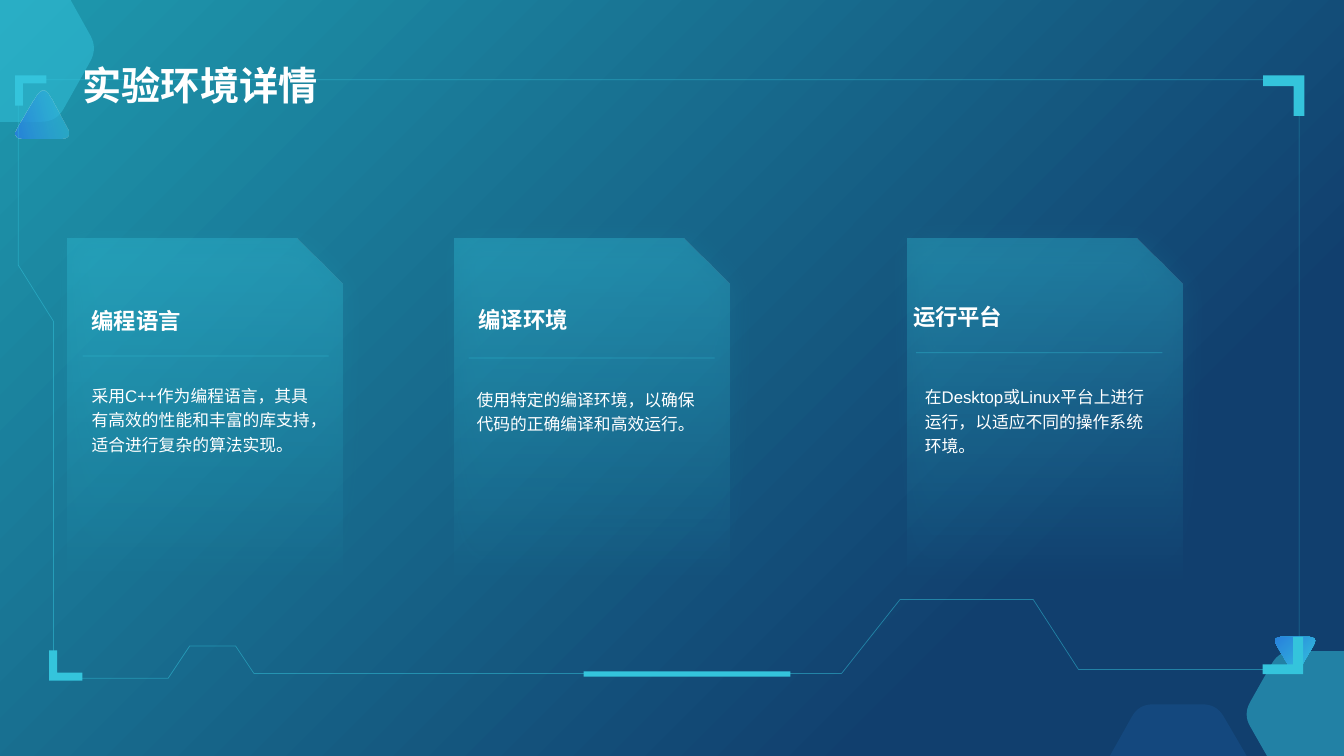
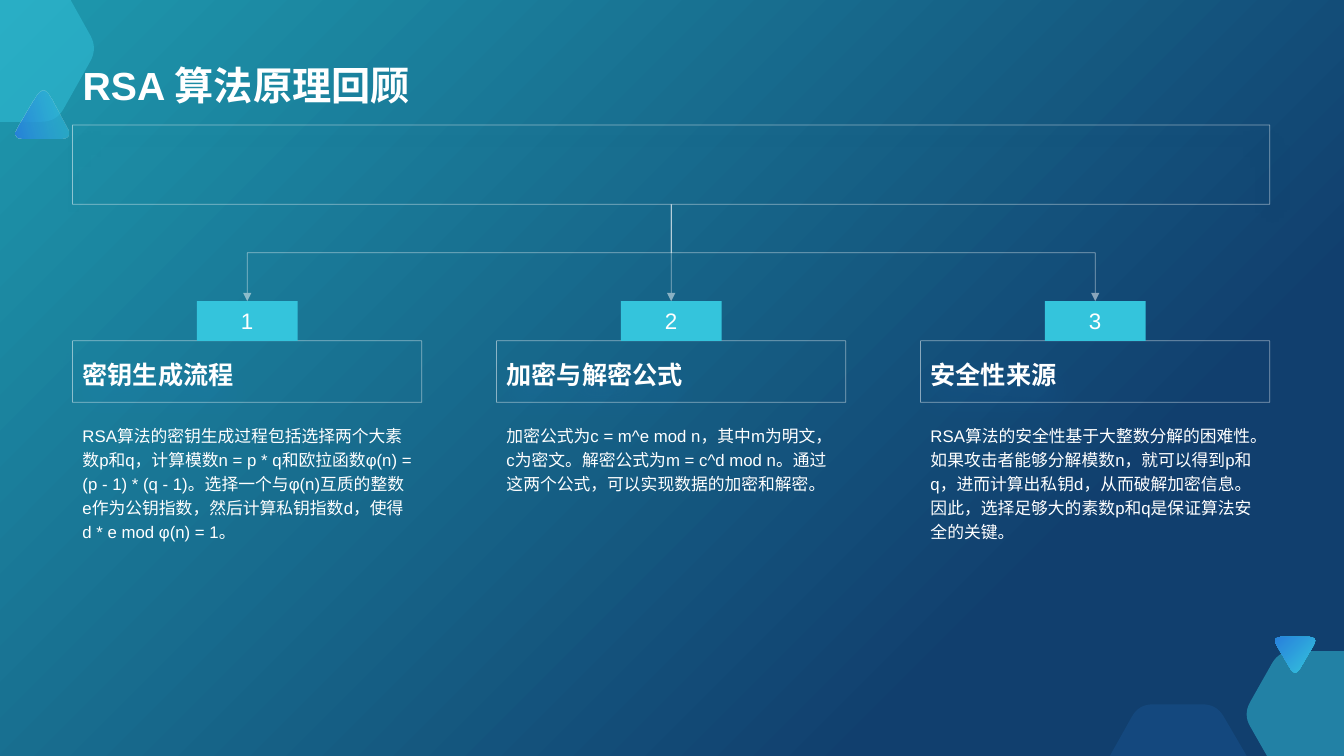
from dataclasses import dataclass
from math import copysign, dist

from lxml.etree import SubElement
from pptx import Presentation
from pptx.dml.color import RGBColor
from pptx.enum.lang import MSO_LANGUAGE_ID
from pptx.enum.shapes import MSO_CONNECTOR, MSO_SHAPE
from pptx.enum.text import MSO_ANCHOR, MSO_AUTO_SIZE, PP_ALIGN
from pptx.oxml.ns import qn
from pptx.util import Cm, Pt


@dataclass(frozen=True)
class Theme:
    teal: RGBColor = RGBColor.from_string("1E99AE")
    navy: RGBColor = RGBColor.from_string("113F6E")
    cyan: RGBColor = RGBColor.from_string("34C4DC")
    blue: RGBColor = RGBColor.from_string("2881DC")
    white: RGBColor = RGBColor.from_string("FFFFFF")
    font: str = "Arial"
    title: Pt = Pt(28)
    head: Pt = Pt(18)
    label: Pt = Pt(16)
    body: Pt = Pt(12)
    hair: Pt = Pt(0.5)


def dress(thing, **values):
    for name, value in values.items():
        setattr(thing, name, value)


def paint(fill, stops, turn=0, end=1):
    """Fill with one colour or a gradient; turn is clockwise degrees."""
    if len(stops) == 1:
        fill.solid()
        fill.fore_color.rgb = stops[0][0]
        return
    fill.gradient()
    fill.gradient_angle = 360 - turn
    for stop, (color, _), place in zip(fill.gradient_stops, stops, (0, end)):
        stop.color.rgb = color
        stop.position = place


def fade(element, stops):
    """Give the first colours of an element their opacity in percent."""
    for node, (_, alpha) in zip(list(element.iter(qn("a:srgbClr"))), stops):
        if alpha < 100:
            SubElement(node, qn("a:alpha"), val=str(alpha * 1000))


def toward(start, goal, length):
    share = length / dist(start, goal)
    return tuple(a + (b - a) * share for a, b in zip(start, goal))


def bevel(corners, steps=8):
    """Turn each corner (x, y, cut) into a smooth curve of points."""
    points = []
    for i, (x, y, cut) in enumerate(corners):
        if not cut:
            points.append((x, y))
            continue
        before, after = corners[i - 1][:2], corners[(i + 1) % len(corners)][:2]
        first = toward((x, y), before, cut)
        last = toward((x, y), after, cut)
        for t in (n / steps for n in range(steps + 1)):
            points.append(tuple((1 - t) ** 2 * a + 2 * t * (1 - t) * b + t * t * c
                                for a, b, c in zip(first, (x, y), last)))
    return points


class Deck:
    def __init__(self, theme):
        self.theme = theme
        self.show = Presentation()
        dress(self.show, slide_width=Cm(33.87), slide_height=Cm(19.05))
        self.layout = self.show.slide_layouts[5]
        paint(self.show.slide_master.background.fill,
              [(theme.teal, 100), (theme.navy, 100)], 45, 0.77)
        self.slide = None

    def page(self):
        self.slide = self.show.slides.add_slide(self.layout)

    def label(self, shape, text, size, bold=False, space=None,
              align=PP_ALIGN.LEFT, anchor=MSO_ANCHOR.TOP, wrap=True):
        frame = shape.text_frame
        dress(frame, text=text, word_wrap=wrap, vertical_anchor=anchor,
              auto_size=MSO_AUTO_SIZE.NONE)
        para = frame.paragraphs[0]
        dress(para, alignment=align, line_spacing=space)
        font = para.runs[0].font
        dress(font, name=self.theme.font, size=size, bold=bold,
              language_id=MSO_LANGUAGE_ID.SIMPLIFIED_CHINESE)
        font.color.rgb = self.theme.white

    def title(self, text):
        shape = self.slide.shapes.title
        dress(shape, left=Cm(1.83), top=Cm(0.36), width=Cm(30.17), height=Cm(2.49))
        self.label(shape, text, self.theme.title, True, anchor=MSO_ANCHOR.BOTTOM)
        self.slide.shapes.element.append(shape.element)

    def text(self, box, text, size, **style):
        shape = self.slide.shapes.add_textbox(*map(Cm, box))
        self.label(shape, text, size, **style)

    def style(self, shape, fill=None, turn=0, line=None, glow=None):
        """fill: (colour, opacity) stops; glow: colour, opacity, blur, distance, angle."""
        shape.shadow.inherit = False
        if fill:
            paint(shape.fill, fill, turn)
        else:
            shape.fill.background()
        if line:
            shape.line.color.rgb = line[0]
            shape.line.width = self.theme.hair
        else:
            shape.line.fill.background()
        fade(shape.element.spPr, (fill or []) + ([line] if line else []))
        if glow:
            color, alpha, blur, away, angle = glow
            effects = shape.element.spPr.find(qn("a:effectLst"))
            cast = SubElement(effects, qn("a:outerShdw"), blurRad=str(Pt(blur)),
                              dist=str(Pt(away)), dir=str(angle * 60000),
                              algn="ctr", rotWithShape="0")
            SubElement(cast, qn("a:srgbClr"), val=str(color))
            fade(cast, [(color, alpha)])
        return shape

    def shape(self, kind, box, **style):
        return self.style(self.slide.shapes.add_shape(kind, *map(Cm, box)), **style)

    def outline(self, points, **style):
        dots = [(Cm(x), Cm(y)) for x, y in points]
        pen = self.slide.shapes.build_freeform(*dots[0])
        pen.add_line_segments(dots[1:], close=True)
        return self.style(pen.convert_to_shape(), **style)

    def bracket(self, x, y, wide, high, thick):
        """Draw an L from its outer corner; signed arms give its direction."""
        right, low = x + copysign(thick, wide), y + copysign(thick, high)
        self.outline([(x, y), (x + wide, y), (x + wide, low), (right, low),
                      (right, y + high), (x, y + high)],
                     fill=[(self.theme.cyan, 100)])

    def ink(self, link, color):
        link.line.color.rgb = color
        link.line.width = self.theme.hair
        fade(link.element.spPr, [(color, 50)])
        SubElement(link.element.spPr, qn("a:effectLst"))

    def rule(self, x, y, width):
        link = self.slide.shapes.add_connector(
            MSO_CONNECTOR.STRAIGHT, Cm(x), Cm(y), Cm(x + width), Cm(y))
        self.ink(link, self.theme.cyan)

    def arrow(self, upper, lower):
        """Lead from the bottom of one box to the top of another."""
        start = upper.left + upper.width // 2
        stop = lower.left + lower.width // 2
        top, drop = upper.top + upper.height, lower.top - upper.top - upper.height
        span = stop - start
        bent = abs(span) > Cm(0.1)
        kind = MSO_CONNECTOR.ELBOW if bent else MSO_CONNECTOR.STRAIGHT
        link = self.slide.shapes.add_connector(kind, start, top, stop, top + drop)
        link.begin_connect(upper, 2)
        link.end_connect(lower, 0)
        if bent:
            link.element.flipH = span > 0
            dress(link, rotation=270 if span > 0 else 90,
                  left=(start + stop - drop) // 2,
                  top=top + (drop - abs(span)) // 2,
                  width=drop, height=abs(span))
        self.ink(link, self.theme.white)
        SubElement(link.element.spPr.find(qn("a:ln")), qn("a:tailEnd"), type="triangle")

    def decor(self):
        """Draw the corner ornaments and move them to the shared layout."""
        cyan, blue = self.theme.cyan, self.theme.blue
        tree = self.layout.shapes.element
        for corners, fill, turn in (
            ([(0, 0, 0), (1.78, 0, 0), (2.46, 1.22, 0.38), (1.42, 3.07, 0.38),
              (0, 3.07, 0)], [(cyan, 50)], 0),
            ([(33.87, 16.41, 0), (33.87, 19.05, 0), (31.93, 19.05, 0),
              (31.33, 18, 0.35), (32.23, 16.41, 0.35)], [(cyan, 50)], 0),
            ([(32.05, 16.05, 0.26), (33.23, 16.05, 0.26), (32.64, 17.06, 0.26)],
             [(cyan, 100), (blue, 100)], 225),
            ([(27.97, 19.05, 0), (28.7, 17.75, 0.35), (30.66, 17.75, 0.35),
              (31.42, 19.05, 0)], [(blue, 15)], 0),
            ([(0.27, 3.5, 0.35), (1.84, 3.5, 0.35), (1.09, 2.13, 0.35)],
             [(cyan, 50), (blue, 96)], 165),
        ):
            node = self.outline(bevel(corners), fill=fill, turn=turn).element
            node.nvSpPr.cNvPr.set("id", str(len(tree) + 10))
            tree.append(node)


def setup(deck):
    """Build the slide on the test environment."""
    theme = deck.theme
    cyan = theme.cyan
    deck.outline([(1.35, 17.09), (1.35, 8.1), (0.46, 6.68), (0.46, 2.01),
                  (32.74, 2.01), (32.74, 16.87), (27.18, 16.87), (26.04, 15.11),
                  (22.68, 15.11), (21.21, 16.97), (6.4, 16.97), (5.94, 16.28),
                  (4.78, 16.28), (4.24, 17.09)], line=(cyan, 50))
    for corner in ((0.38, 1.9, 0.79, 0.76, 0.2), (32.87, 1.9, -1.04, 1.02, 0.27),
                   (1.24, 17.15, 0.84, -0.76, 0.2), (32.84, 16.99, -1.02, -0.94, 0.25)):
        deck.bracket(*corner)
    deck.shape(MSO_SHAPE.RECTANGLE, (14.71, 16.92, 5.21, 0.13), fill=[(cyan, 100)])

    for left, head, body, rule, name, text in (
        (1.7, (2.06, 6.73), (2.06, 9.5), (2.08, 8.97), "编程语言",
         "采用C++作为编程语言，其具有高效的性能和丰富的库支持，适合进行复杂的算法实现。"),
        (11.46, (11.81, 6.71), (11.76, 9.6), (11.81, 9.02), "编译环境",
         "使用特定的编译环境，以确保代码的正确编译和高效运行。"),
        (22.86, (22.76, 6.63), (23.06, 9.53), (23.09, 8.89), "运行平台",
         "在Desktop或Linux平台上进行运行，以适应不同的操作系统环境。"),
    ):
        deck.shape(MSO_SHAPE.SNIP_1_RECTANGLE, (left, 6.02, 6.93, 8.81),
                   fill=[(cyan, 0), (cyan, 34)], turn=270, glow=(cyan, 29, 21, 4, 40))
        deck.text((*head, 6.25, 1.8), name, theme.label, bold=True,
                  anchor=MSO_ANCHOR.BOTTOM)
        deck.text((*body, 6.25, 4.85), text, theme.body, space=1.2)
        deck.rule(*rule, 6.2)
    deck.title("实验环境详情")


def review(deck):
    """Build the slide on how RSA works."""
    theme = deck.theme
    left, full, wide, tag = 1.83, 30.17, 8.8, 2.54
    edge = (theme.white, 50)
    banner = deck.shape(MSO_SHAPE.ROUNDED_RECTANGLE, (left, 3.15, full, 2),
                        line=edge, glow=(theme.navy, 20, 20, 10, 90))
    banner.adjustments[0] = 0
    topics = (
        ("密钥生成流程",
         "RSA算法的密钥生成过程包括选择两个大素数p和q，计算模数n = p * q和欧拉函数"
         "φ(n) = (p - 1) * (q - 1)。选择一个与φ(n)互质的整数e作为公钥指数，"
         "然后计算私钥指数d，使得d * e mod φ(n) = 1。"),
        ("加密与解密公式",
         "加密公式为c = m^e mod n，其中m为明文，c为密文。解密公式为m = c^d mod n。"
         "通过这两个公式，可以实现数据的加密和解密。"),
        ("安全性来源",
         "RSA算法的安全性基于大整数分解的困难性。如果攻击者能够分解模数n，"
         "就可以得到p和q，进而计算出私钥d，从而破解加密信息。"
         "因此，选择足够大的素数p和q是保证算法安全的关键。"),
    )
    step = (full - wide) / (len(topics) - 1)
    for i, (name, text) in enumerate(topics):
        x = left + i * step
        head = deck.shape(MSO_SHAPE.RECTANGLE, (x, 8.59, wide, 1.55), line=edge,
                          glow=(theme.blue, 20, 20, 10, 90))
        deck.label(head, name, theme.head, True, 1.2, anchor=MSO_ANCHOR.MIDDLE)
        deck.text((x, 10.49, wide, 6.55), text, theme.body, space=1.2)
        badge = deck.shape(MSO_SHAPE.RECTANGLE, (x + (wide - tag) / 2, 7.59, tag, 1),
                           fill=[(theme.cyan, 100)])
        deck.label(badge, str(i + 1), theme.label, align=PP_ALIGN.CENTER,
                   anchor=MSO_ANCHOR.MIDDLE, wrap=False)
        deck.arrow(banner, badge)
    deck.title("RSA 算法原理回顾")


def main():
    deck = Deck(Theme())
    deck.page()
    deck.decor()
    setup(deck)
    deck.page()
    review(deck)
    deck.show.save("out.pptx")


if __name__ == "__main__":
    main()
